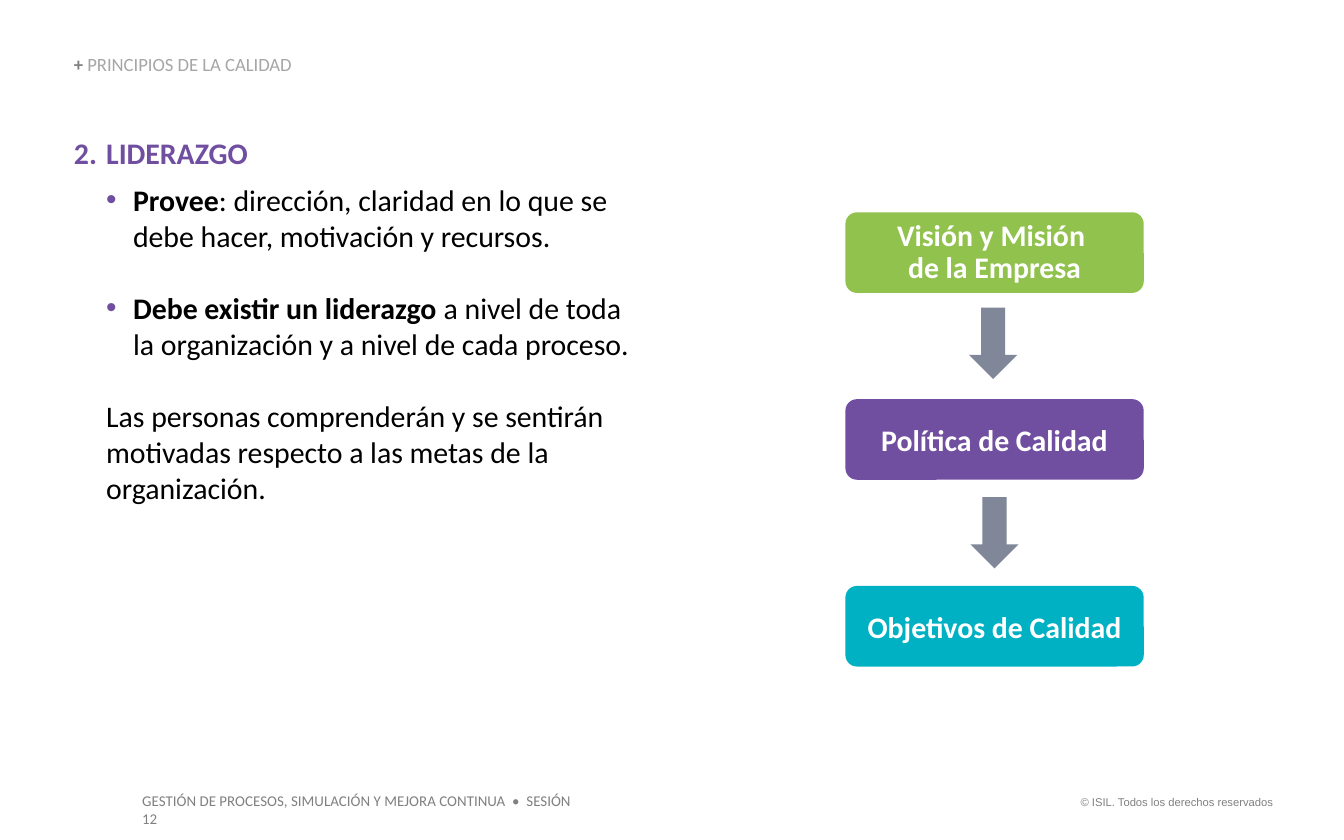
from lxml.etree import SubElement
from pptx import Presentation
from pptx.dml.color import RGBColor
from pptx.enum.shapes import MSO_SHAPE as Shape
from pptx.enum.text import MSO_ANCHOR as Anchor, MSO_AUTO_SIZE as AutoSize, PP_ALIGN as Align
from pptx.oxml.ns import qn
from pptx.util import Inches, Pt

WHITE = RGBColor(0xFF, 0xFF, 0xFF)
BLACK = RGBColor(0x00, 0x00, 0x00)
GRAY = RGBColor(0x80, 0x80, 0x80)
LIGHT_GRAY = RGBColor(0xA6, 0xA6, 0xA6)
SLATE = RGBColor(0x80, 0x87, 0x99)
PURPLE = RGBColor(0x71, 0x4F, 0xA0)
GREEN = RGBColor(0x92, 0xC2, 0x4E)
TEAL = RGBColor(0x00, 0xB1, 0xC3)


def style(span, size, color, bold=False, name="Calibri"):
    span.font.name = name
    span.font.size = Pt(size)
    span.font.bold = bold
    span.font.color.rgb = color


def clear_margins(frame):
    frame.margin_left = frame.margin_right = 0
    frame.margin_top = frame.margin_bottom = 0


deck = Presentation()
deck.slide_width = Inches(10)
deck.slide_height = Inches(6.25)
page = deck.slides.add_slide(deck.slide_layouts[5])

title = page.shapes.title
title.left, title.top = Inches(0.55), Inches(0.41)
title.width, title.height = Inches(2.66), Inches(0.15)
frame = title.text_frame
frame.auto_size = AutoSize.NONE
frame.vertical_anchor = Anchor.BOTTOM
clear_margins(frame)
para = frame.paragraphs[0]
para.alignment = Align.LEFT
para.line_spacing = 0.9
for text, color, bold in [("+ ", GRAY, True), ("PRINCIPIOS DE LA CALIDAD", LIGHT_GRAY, False)]:
    span = para.add_run()
    span.text = text
    style(span, 10, color, bold)

footers = [
    ("© ISIL. Todos los derechos reservados", 7.88, 5.87, 1.69, 0.2, 6, "Arial", Align.RIGHT, False),
    ("GESTIÓN DE PROCESOS, SIMULACIÓN Y MEJORA CONTINUA  •  SESIÓN 12",
     0.96, 5.84, 3.53, 0.24, 8, "Calibri", Align.LEFT, True),
]
for text, left, top, width, height, size, name, align, wrap in footers:
    box = page.shapes.add_textbox(Inches(left), Inches(top), Inches(width), Inches(height))
    box.text_frame.word_wrap = wrap
    box.text_frame.text = text
    para = box.text_frame.paragraphs[0]
    para.alignment = align
    style(para.runs[0], size, GRAY, name=name)

body = page.shapes.add_textbox(Inches(0.55), Inches(1), Inches(4.25), Inches(2.78))
frame = body.text_frame
frame.word_wrap = True
clear_margins(frame)
body_paragraphs = [
    ("number", 0.24, -0.24, 6, PURPLE, "LIDERAZGO", ""),
    ("bullet", 0.44, -0.2, 19.5, BLACK, "Provee",
     ": dirección, claridad en lo que se debe hacer, motivación y recursos."),
    ("bullet", 0.44, -0.2, 19.5, BLACK, "Debe existir un liderazgo",
     " a nivel de toda la organización y a nivel de cada proceso."),
    ("plain", 0.24, 0, 0, BLACK, "",
     "Las personas comprenderán y se sentirán motivadas respecto a las metas de la organización."),
]
for index, (kind, margin, indent, after, color, strong, rest) in enumerate(body_paragraphs):
    para = frame.add_paragraph() if index else frame.paragraphs[0]
    properties = para._p.get_or_add_pPr()
    properties.set("marL", str(Inches(margin)))
    properties.set("indent", str(Inches(indent)))
    if kind == "number":
        SubElement(properties, qn("a:buAutoNum"), type="arabicPeriod", startAt="2")
    elif kind == "bullet":
        bullet_color = SubElement(properties, qn("a:buClr"))
        SubElement(bullet_color, qn("a:srgbClr"), val=str(PURPLE))
        SubElement(properties, qn("a:buFont"), typeface="Arial")
        SubElement(properties, qn("a:buChar"), char="•")
    para.space_after = Pt(after)
    for text, bold in [(strong, True), (rest, False)]:
        if text:
            span = para.add_run()
            span.text = text
            style(span, 16, color, bold)

steps = [
    ("Visión y Misión \vde la Empresa", GREEN, 0.9),
    ("Política de Calidad", PURPLE, 1.0),
    ("Objetivos de Calidad", TEAL, 1.0),
]
for index, (text, color, spacing) in enumerate(steps):
    step = page.shapes.add_shape(Shape.ROUNDED_RECTANGLE, Inches(6.29), Inches(1.58 + 1.39 * index),
                                 Inches(2.22), Inches(0.6))
    step.adjustments[0] = 0.144
    step.shadow.inherit = False
    step.fill.solid()
    step.fill.fore_color.rgb = color
    step.line.fill.background()
    step.text_frame.vertical_anchor = Anchor.MIDDLE
    step.text_frame.text = text
    para = step.text_frame.paragraphs[0]
    para.alignment = Align.CENTER
    para.line_spacing = spacing
    for span in para.runs:
        style(span, 16, WHITE, True)

for left, top in [(7.21, 2.29), (7.22, 3.7)]:
    arrow = page.shapes.add_shape(Shape.DOWN_ARROW, Inches(left), Inches(top), Inches(0.36), Inches(0.53))
    arrow.shadow.inherit = False
    arrow.fill.solid()
    arrow.fill.fore_color.rgb = SLATE
    arrow.line.fill.background()

deck.save("out.pptx")
